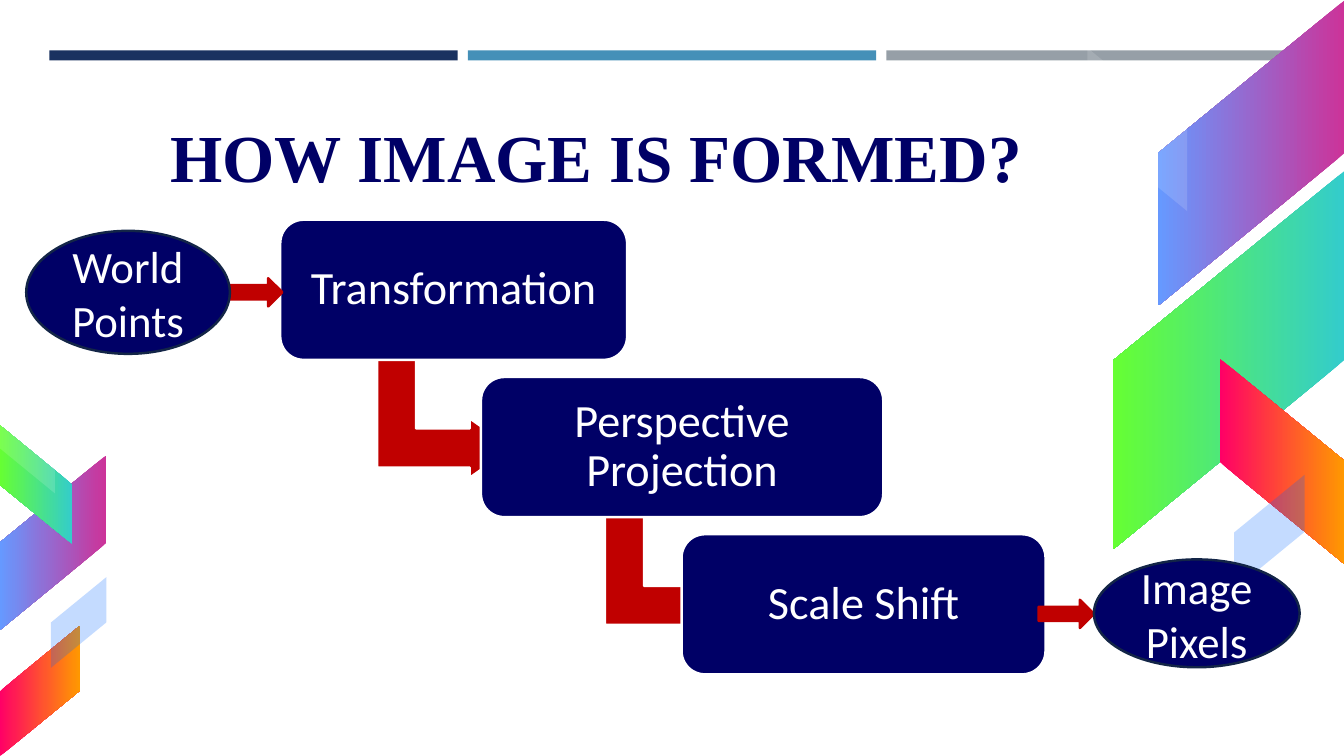
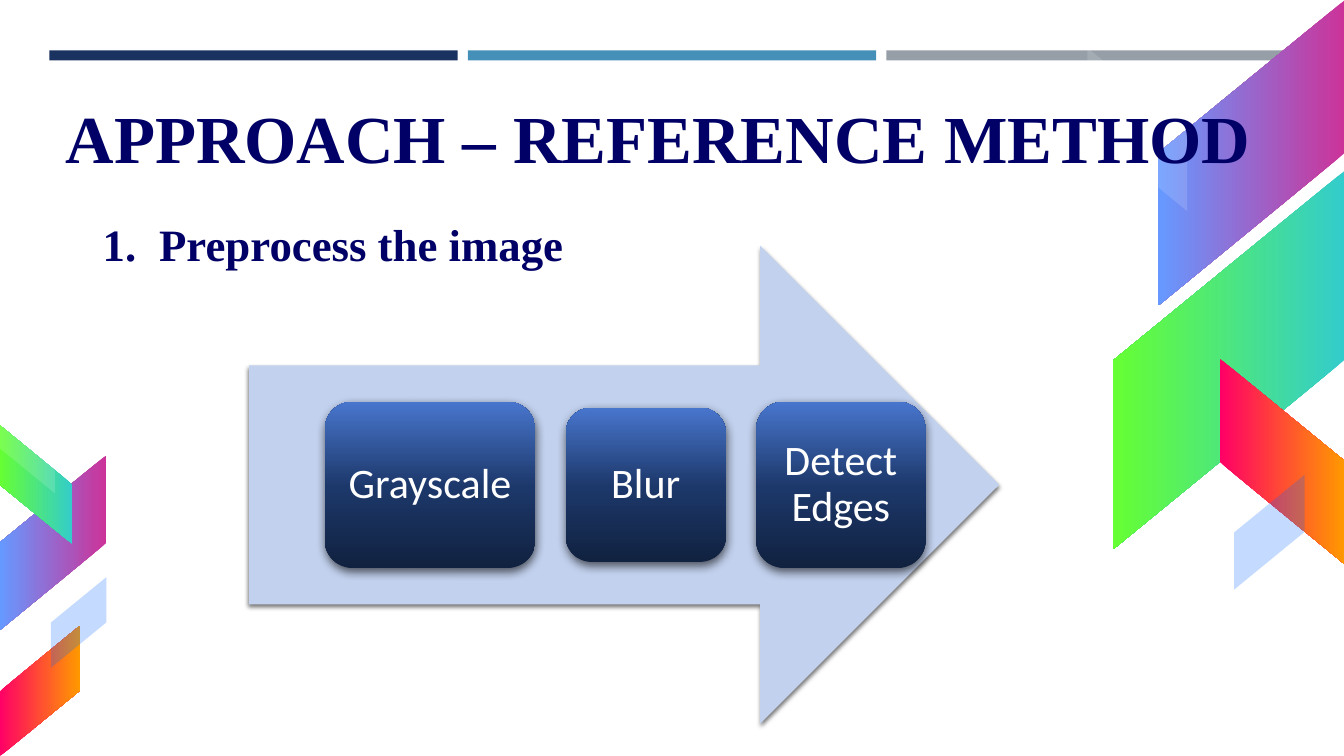
from dataclasses import dataclass
from typing import NamedTuple, Optional

from lxml.etree import SubElement
from pptx import Presentation
from pptx.dml.color import RGBColor
from pptx.enum.shapes import MSO_SHAPE as Preset
from pptx.enum.text import MSO_ANCHOR as Anchor, MSO_AUTO_SIZE as AutoSize, PP_ALIGN as Align
from pptx.oxml.ns import qn
from pptx.util import Inches, Pt

# Shared colours and fonts
NAVY = RGBColor(0x00, 0x00, 0x66)
RED = RGBColor(0xC0, 0x00, 0x00)
WHITE = RGBColor(0xFF, 0xFF, 0xFF)
BLACK = RGBColor(0x00, 0x00, 0x00)
OUTLINE = RGBColor(0x13, 0x25, 0x47)
PALE_BLUE = RGBColor(0xC2, 0xD1, 0xEE)
BRIGHT_BLUE = RGBColor(0x00, 0x66, 0xFF)
BAND_NAVY = RGBColor(0x1A, 0x32, 0x60)
BAND_BLUE = RGBColor(0x45, 0x90, 0xB8)
BAND_GREY = RGBColor(0x96, 0x9F, 0xA7)
SERIF = "Times New Roman"
SANS = "Calibri"


class Area(NamedTuple):
    left: float
    top: float
    width: float
    height: float


class Shadow(NamedTuple):
    opacity: int
    blur: float
    distance: float
    angle: int


@dataclass(frozen=True)
class Paint:
    """One colour is a solid fill; several (position, colour) stops are a gradient."""
    stops: tuple[tuple[int, RGBColor], ...]
    angle: int = 90
    opacity: int = 100


@dataclass(frozen=True)
class Ribbon:
    area: Area
    rotation: int
    flipped: bool
    paint: Paint


@dataclass(frozen=True)
class Label:
    text: str
    area: Area


def solid(color: RGBColor, opacity: int = 100) -> Paint:
    return Paint(((0, color),), opacity=opacity)


PURPLE_BLUE = Paint(((0, RGBColor(0xCC, 0x33, 0x99)), (100, RGBColor(0x66, 0x99, 0xFF))))
TEAL_GREEN = Paint(((0, RGBColor(0x33, 0xCC, 0xCC)), (100, RGBColor(0x66, 0xFF, 0x33))))
PINK_ORANGE = Paint(((0, RGBColor(0xFF, 0x00, 0x66)), (100, RGBColor(0xFF, 0x99, 0x00))))
GLOSSY_BLUE = Paint(
    ((0, RGBColor(0x11, 0x22, 0x40)), (48, RGBColor(0x1C, 0x37, 0x69)),
     (100, RGBColor(0x48, 0x76, 0xCD))), angle=270)
GLINT = solid(WHITE, 14)
VEIL = solid(BRIGHT_BLUE, 23)

BANDS = (BAND_NAVY, BAND_BLUE, BAND_GREY)
RIBBONS = (
    # Right edge
    Ribbon(Area(10.9, 0.59, 3.03, 1.85), 90, True, PURPLE_BLUE),
    Ribbon(Area(10.31, 2.43, 3.75, 2.29), 90, True, TEAL_GREEN),
    Ribbon(Area(11.7, 3.96, 2.04, 1.24), 270, False, PINK_ORANGE),
    Ribbon(Area(10.47, 0.79, 1.62, 0.99), 270, False, GLINT),
    Ribbon(Area(12.02, 4.93, 1.14, 0.7), 270, True, VEIL),
    # Left edge
    Ribbon(Area(-0.34, 4.86, 1.73, 1.05), 90, True, PURPLE_BLUE),
    Ribbon(Area(-0.23, 4.45, 1.18, 0.72), 90, False, TEAL_GREEN),
    Ribbon(Area(-0.25, 6.46, 1.29, 0.79), 270, True, PINK_ORANGE),
    Ribbon(Area(-0.18, 4.17, 0.9, 0.55), 270, False, GLINT),
    Ribbon(Area(0.33, 5.9, 0.9, 0.55), 270, True, VEIL),
)


def apply_paint(shape, paint: Paint) -> None:
    if len(paint.stops) == 1:
        shape.fill.solid()
        shape.fill.fore_color.rgb = paint.stops[0][1]
        if paint.opacity < 100:
            color = shape.element.spPr.find(f"{qn('a:solidFill')}/{qn('a:srgbClr')}")
            SubElement(color, qn("a:alpha"), val=str(paint.opacity * 1000))
        return
    shape.fill.background()
    properties = shape.element.spPr
    empty = properties.find(qn("a:noFill"))
    gradient = SubElement(properties, qn("a:gradFill"), rotWithShape="1")
    stop_list = SubElement(gradient, qn("a:gsLst"))
    for position, color in paint.stops:
        stop = SubElement(stop_list, qn("a:gs"), pos=str(position * 1000))
        SubElement(stop, qn("a:srgbClr"), val=str(color))
    SubElement(gradient, qn("a:lin"), ang=str(paint.angle * 60000), scaled="0")
    properties.replace(empty, gradient)


def apply_shadow(shape, shadow: Shadow) -> None:
    effects = shape.element.spPr.find(qn("a:effectLst"))
    outer = SubElement(
        effects, qn("a:outerShdw"), blurRad=str(Pt(shadow.blur)), dist=str(Pt(shadow.distance)),
        dir=str(shadow.angle * 60000), algn="ctr", rotWithShape="0")
    color = SubElement(outer, qn("a:srgbClr"), val=str(BLACK))
    SubElement(color, qn("a:alpha"), val=str(shadow.opacity * 1000))


def add_figure(page, preset: Preset, area: Area, paint: Paint, *,
               line: Optional[RGBColor] = None, rotation: int = 0, flipped: bool = False,
               adjustments: tuple[float, ...] = (), shadow: Optional[Shadow] = None):
    shape = page.shapes.add_shape(preset, *map(Inches, area))
    shape.shadow.inherit = False
    apply_paint(shape, paint)
    if line is None:
        shape.line.fill.background()
    else:
        shape.line.color.rgb = line
        shape.line.width = Pt(1.75)
    shape.rotation = rotation
    if flipped:
        shape.element.spPr.xfrm.set("flipH", "1")
    for index, value in enumerate(adjustments):
        shape.adjustments[index] = value
    if shadow:
        apply_shadow(shape, shadow)
    return shape


def write(shape, text: str, *, size: float, color: RGBColor = WHITE, font: str = SANS,
          bold: bool = False, align: Align = Align.CENTER, anchor: Anchor = Anchor.MIDDLE,
          inset: float = 0.1, inset_y: Optional[float] = None, spacing: float = 1.0,
          number_indent: float = 0) -> None:
    frame = shape.text_frame
    frame.word_wrap = True
    frame.auto_size = AutoSize.NONE
    frame.vertical_anchor = anchor
    frame.margin_left = frame.margin_right = Inches(inset)
    frame.margin_top = frame.margin_bottom = Inches(inset if inset_y is None else inset_y)
    para = frame.paragraphs[0]
    para.alignment = align
    para.line_spacing = spacing
    if number_indent:
        properties = para._p.get_or_add_pPr()
        properties.set("marL", str(Inches(number_indent)))
        properties.set("indent", str(-Inches(number_indent)))
        bullet_color = SubElement(properties, qn("a:buClr"))
        SubElement(bullet_color, qn("a:srgbClr"), val=str(color))
        SubElement(properties, qn("a:buFont"), typeface="+mj-lt")
        SubElement(properties, qn("a:buAutoNum"), type="arabicPeriod")
    span = para.add_run()
    span.text = text
    span.font.size = Pt(size)
    span.font.name = font
    span.font.bold = bold
    span.font.color.rgb = color


def add_page(deck, title: str, area: Area):
    page = deck.slides.add_slide(deck.slide_layouts[5])
    box = page.shapes.title
    box.left, box.top, box.width, box.height = map(Inches, area)
    write(box, title, size=48, color=NAVY, font=SERIF, bold=True, align=Align.LEFT, inset=0.13)
    return page


def decorate_layout(page) -> None:
    """Draw the bands and ribbons, then move them to the layout all pages share."""
    shapes = [add_figure(page, Preset.RECTANGLE, Area(0.49 + 4.15 * i, 0.5, 4.05, 0.1), solid(color))
              for i, color in enumerate(BANDS)]
    shapes += [add_figure(page, Preset.PARALLELOGRAM, ribbon.area, ribbon.paint, adjustments=(0.819,),
                          rotation=ribbon.rotation, flipped=ribbon.flipped)
               for ribbon in RIBBONS]
    tree = page.slide_layout.shapes.element
    for number, shape in enumerate(shapes, start=100):
        shape.element.nvSpPr.cNvPr.set("id", str(number))
        tree.append(shape.element)


def build_formation(deck):
    page = add_page(deck, "HOW IMAGE IS FORMED?", Area(1.56, 0.94, 9.29, 1.21))
    step_top, step_gap, step_height = 2.18, 1.56, 1.39

    # Bent arrows between the steps
    for index, left in enumerate((3.82, 6.08)):
        add_figure(page, Preset.BENT_UP_ARROW,
                   Area(left, step_top + 1.3 + step_gap * index, 1.18, 1.34), solid(RED),
                   line=WHITE, rotation=90, adjustments=(0.328, 0.25, 0.358))

    # Staircase of steps
    steps = (("Transformation", 2.78, 3.44), ("Perspective Projection", 4.77, 3.99),
             ("Scale Shift", 6.76, 3.61))
    for index, (text, left, width) in enumerate(steps):
        area = Area(left, step_top + step_gap * index, width, step_height)
        step = add_figure(page, Preset.ROUNDED_RECTANGLE, area, solid(NAVY), line=WHITE)
        write(step, text, size=33, spacing=0.9, inset=0.16)

    # Input and output
    for left, top in ((10.3, 5.95), (2.25, 2.76)):
        add_figure(page, Preset.RIGHT_ARROW, Area(left, top, 0.55, 0.28), solid(RED), line=RED)
    for label in (Label("World Points", Area(0.26, 2.29, 2.02, 1.22)),
                  Label("Image Pixels", Area(10.85, 5.55, 2.04, 1.07))):
        end = add_figure(page, Preset.OVAL, label.area, solid(NAVY), line=OUTLINE)
        write(end, label.text, size=32, inset_y=0.05)
    return page


def build_approach(deck):
    page = add_page(deck, "APPROACH – REFERENCE METHOD", Area(0.52, 0.75, 12.18, 1.21))

    # Numbered stage
    box = page.shapes.add_textbox(*map(Inches, Area(0.92, 2.05, 8.11, 4.71)))
    write(box, "Preprocess the image", size=32, color=NAVY, font=SERIF, bold=True,
          align=Align.LEFT, anchor=Anchor.TOP, number_indent=0.56)

    # Process arrow with its operations
    add_figure(page, Preset.RIGHT_ARROW, Area(2.47, 2.44, 7.44, 4.74), solid(PALE_BLUE),
               shadow=Shadow(55, 3, 2, 90))
    middle, gap, left = 4.81, 0.3, 3.22
    for text, width, height in (("Grayscale", 2.09, 1.65), ("Blur", 1.59, 1.53),
                                ("Detect Edges", 1.68, 1.65)):
        operation = add_figure(page, Preset.ROUNDED_RECTANGLE,
                               Area(left, middle - height / 2, width, height), GLOSSY_BLUE,
                               shadow=Shadow(60, 7, 3, 84))
        write(operation, text, size=30, spacing=0.9, inset=0.12)
        left += width + gap
    return page


def main() -> None:
    deck = Presentation()
    deck.slide_width, deck.slide_height = Inches(13.33), Inches(7.5)
    decorate_layout(build_formation(deck))
    build_approach(deck)
    deck.save("out.pptx")


if __name__ == "__main__":
    main()
